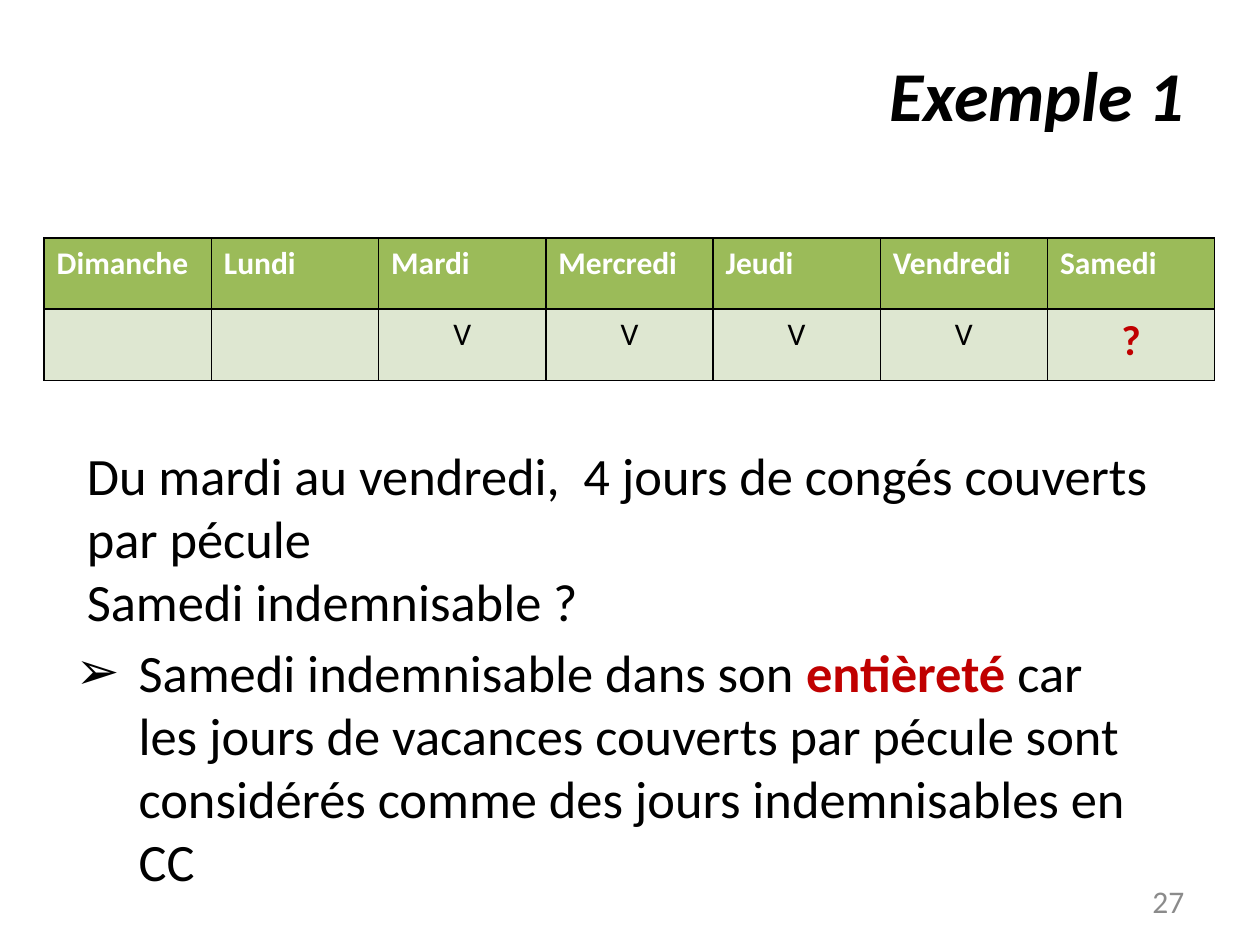
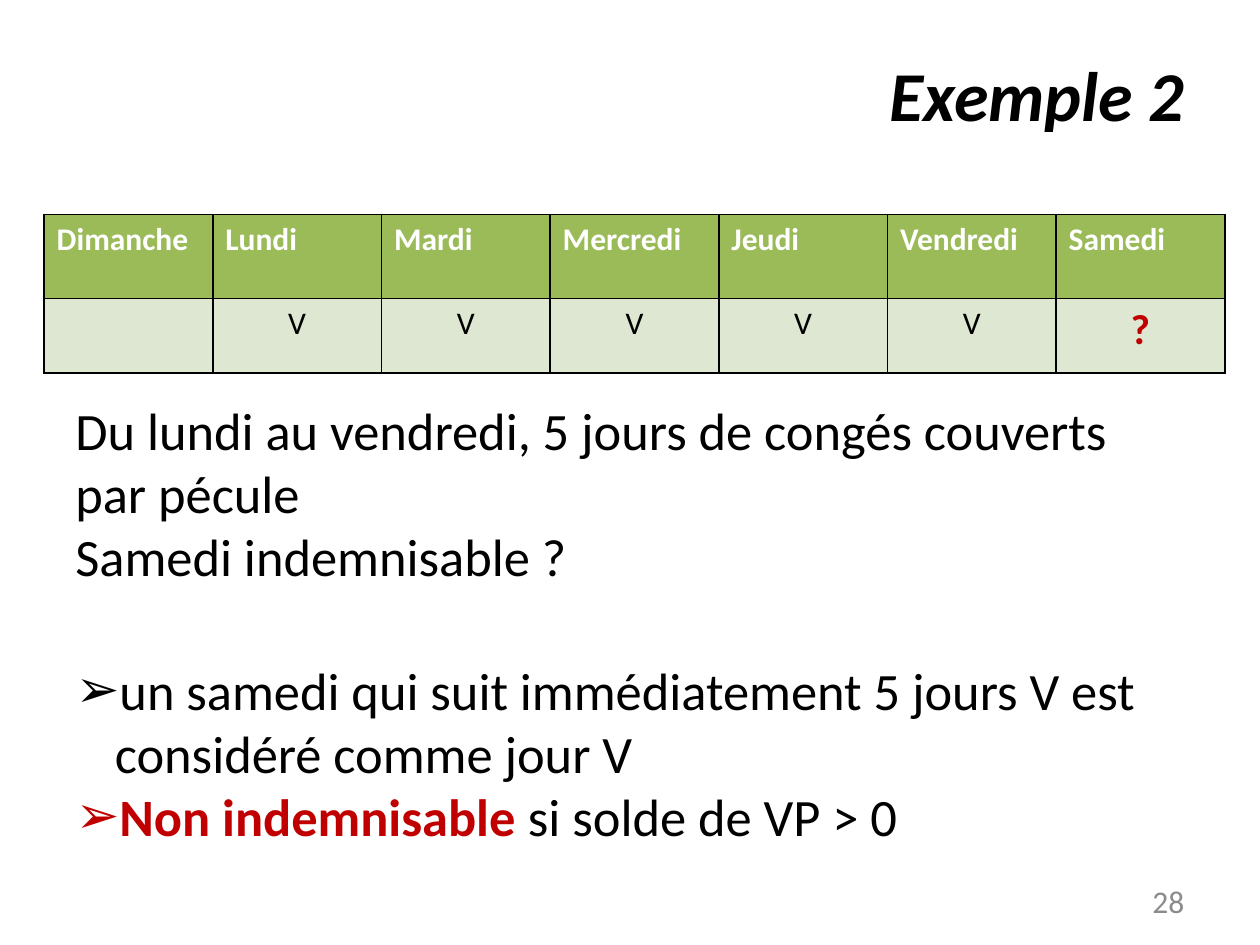
import copy

import pptx
import pptx.dml.color
import pptx.enum.text
import pptx.util
from lxml import etree
from pptx.oxml import ns

Cm = pptx.util.Cm
Pt = pptx.util.Pt
Align = pptx.enum.text.PP_ALIGN

FONT = "Calibri"
BLACK, WHITE, RED = "000000", "FFFFFF", "C00000"
GREEN, PALE = "9BBB59", "DEE7D1"
BODY = 30
FIRST = 27
DAYS = ["Dimanche", "Lundi", "Mardi", "Mercredi", "Jeudi", "Vendredi", "Samedi"]


def color(code):
    return pptx.dml.color.RGBColor.from_string(code)


def write(para, text, size=BODY, tint=BLACK, bold=False, italic=False, align=None):
    """Append one formatted run to a paragraph."""
    run = para.add_run()
    run.text = text
    font = run.font
    font.name, font.size = FONT, Pt(size)
    font.bold, font.italic = bold, italic
    font.color.rgb = color(tint)
    if align is not None:
        para.alignment = align


def place(shape, box):
    shape.left, shape.top, shape.width, shape.height = map(Cm, box)
    frame = shape.text_frame
    frame.word_wrap = True
    frame.auto_size = pptx.enum.text.MSO_AUTO_SIZE.NONE
    frame.vertical_anchor = pptx.enum.text.MSO_ANCHOR.TOP
    return frame


def lines(frame, count):
    """Return the given number of paragraphs, adding those that are missing."""
    while len(frame.paragraphs) < count:
        frame.add_paragraph()
    return frame.paragraphs


def bullet(para, indent):
    props = para._p.get_or_add_pPr()
    props.set("marL", str(Cm(indent)))
    props.set("indent", str(-Cm(indent)))
    para.space_before = Pt(0)
    etree.SubElement(props, ns.qn("a:buFont"), typeface=FONT)
    etree.SubElement(props, ns.qn("a:buChar"), char="➢")


def border(cell):
    props = cell._tc.get_or_add_tcPr()
    for rank, side in enumerate(("lnL", "lnR", "lnT", "lnB")):
        line = etree.Element(ns.qn("a:" + side), w=str(Pt(1)))
        fill = etree.SubElement(line, ns.qn("a:solidFill"))
        etree.SubElement(fill, ns.qn("a:srgbClr"), val=BLACK)
        props.insert(rank, line)


def week(slide, box, head, marks):
    """Draw the week table; marks holds one sign per day, head the first row's height."""
    left, top, width, height = box
    table = slide.shapes.add_table(2, len(DAYS), *map(Cm, box)).table
    table.rows[0].height, table.rows[1].height = Cm(head), Cm(height - head)
    for col, (day, mark) in enumerate(zip(DAYS, marks)):
        table.columns[col].width = Cm(width / len(DAYS))
        upper, lower = table.cell(0, col), table.cell(1, col)
        for cell, fill in ((upper, GREEN), (lower, PALE)):
            cell.fill.solid()
            cell.fill.fore_color.rgb = color(fill)
            border(cell)
        write(upper.text_frame.paragraphs[0], day, size=18, tint=WHITE, bold=True)
        para = lower.text_frame.paragraphs[0]
        if mark == "?":
            write(para, mark, size=24, tint=RED, bold=True, align=Align.CENTER)
        elif mark.strip():
            write(para, mark, size=18, align=Align.CENTER)


def query(slide, box, texts):
    frame = place(slide.shapes.add_textbox(0, 0, 0, 0), box)
    for para, text in zip(lines(frame, len(texts)), texts):
        write(para, text)


def answer(slide, box, indent, items):
    """Fill the body placeholder; each item is a list of (text, strong) pairs."""
    frame = place(slide.placeholders[1], box)
    for para, parts in zip(lines(frame, len(items)), items):
        bullet(para, indent)
        for text, strong in parts:
            write(para, text, tint=RED if strong else BLACK, bold=strong)


def number(slide, value):
    """Show the layout's slide number on the slide."""
    kind = pptx.enum.shapes.PP_PLACEHOLDER.SLIDE_NUMBER
    for shape in slide.slide_layout.placeholders:
        if shape.placeholder_format.type == kind:
            clone = copy.deepcopy(shape._element)
            slide.shapes._spTree.append(clone)
            clone.find(".//" + ns.qn("a:fld")).find(ns.qn("a:t")).text = str(value)


def sample(deck, rank, grid, ask, reply):
    """Add one example slide from the arguments of its three regions."""
    slide = deck.slides.add_slide(deck.slide_layouts[1])
    frame = place(slide.shapes.title, (5.3, 0.91, 18.83, 1.96))
    write(frame.paragraphs[0], f"Exemple {rank}", size=40, bold=True,
          italic=True, align=Align.RIGHT)
    week(slide, *grid)
    query(slide, *ask)
    answer(slide, *reply)
    number(slide, FIRST + rank - 1)


def main():
    deck = pptx.Presentation()
    deck.slide_width, deck.slide_height = Cm(25.4), Cm(19.05)
    deck.element.set("firstSlideNum", str(FIRST))
    sample(
        deck, 1,
        grid=((0.89, 4.8, 23.6, 2.87), 1.43, "  VVVV?"),
        ask=((1.5, 8.8, 22.4, 4), [
            "Du mardi au vendredi,  4 jours de congés couverts par pécule",
            "Samedi indemnisable ?"]),
        reply=((1.27, 12.78, 22, 5.38), 1.27, [[
            ("Samedi indemnisable dans son ", False),
            ("entièreté", True),
            (" car les jours de vacances couverts par pécule sont considérés "
             "comme des jours indemnisables en CC", False)]]),
    )
    sample(
        deck, 2,
        grid=((0.89, 4.32, 23.8, 3.2), 1.7, " VVVVV?"),
        ask=((1.27, 7.9, 22.86, 4), [
            "Du lundi au vendredi, 5 jours de congés couverts par pécule",
            "Samedi indemnisable ?"]),
        reply=((1.27, 13.13, 23.42, 4.11), 0.79, [
            [("un samedi qui suit immédiatement 5 jours V est considéré "
              "comme jour V", False)],
            [("Non indemnisable", True), (" si solde de VP > 0", False)]]),
    )
    deck.save("out.pptx")


if __name__ == "__main__":
    main()
